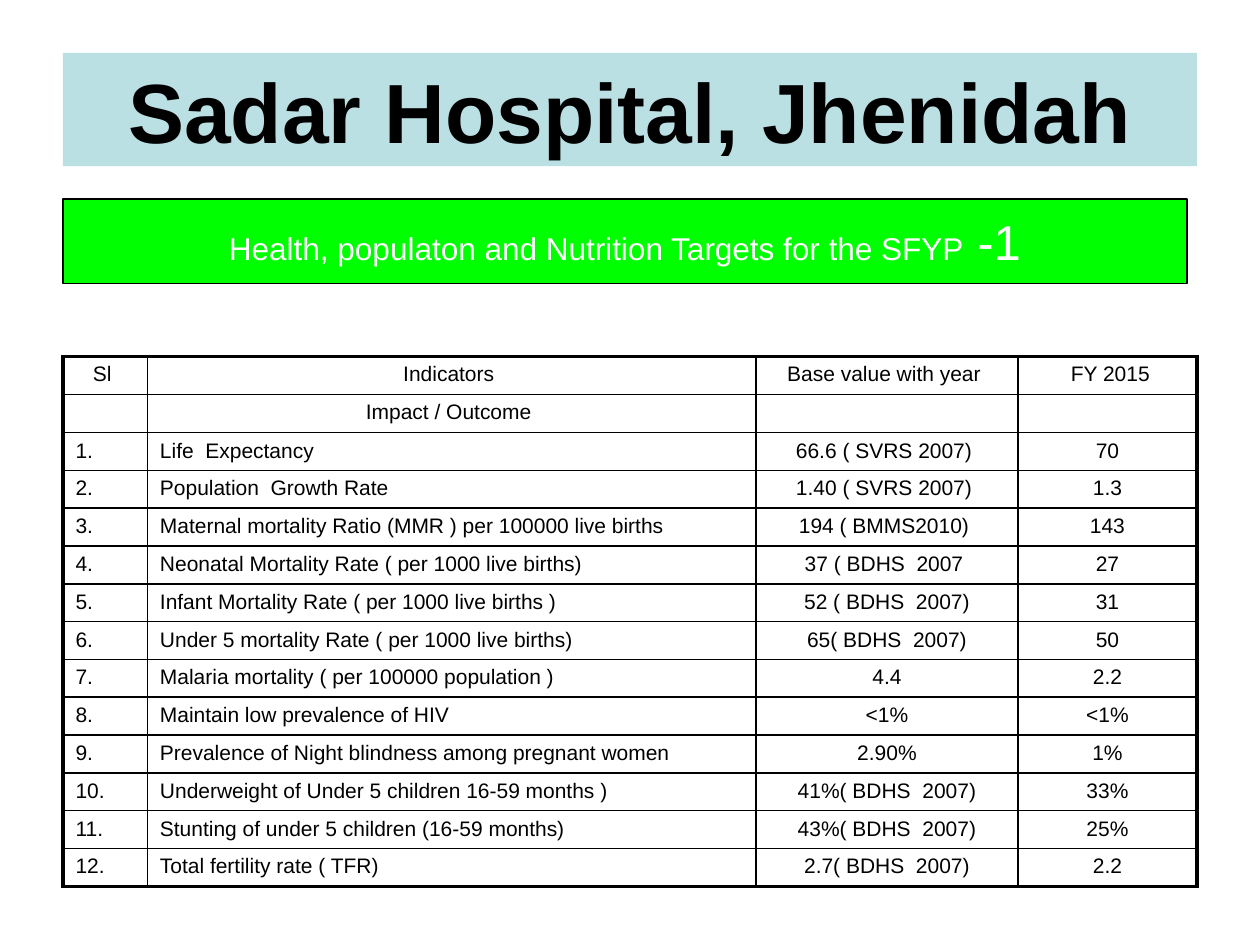
"""Build the Sadar Hospital slide of health, population and nutrition targets."""
from lxml import etree
from pptx import Presentation
from pptx.dml.color import RGBColor
from pptx.enum.shapes import MSO_SHAPE
from pptx.enum.text import MSO_ANCHOR, PP_ALIGN
from pptx.oxml.ns import qn
from pptx.util import Inches, Pt

RECTANGLE = MSO_SHAPE.RECTANGLE
MIDDLE = MSO_ANCHOR.MIDDLE
LEFT, CENTER = PP_ALIGN.LEFT, PP_ALIGN.CENTER

THEME = {
    "font": "Arial",
    "black": RGBColor(0x00, 0x00, 0x00),
    "white": RGBColor(0xFF, 0xFF, 0xFF),
    "pale_blue": RGBColor(0xBB, 0xE0, 0xE3),
    "green": RGBColor(0x00, 0xFF, 0x00),
    "title_size": Pt(48),
    "subtitle_size": Pt(18),
    "part_size": Pt(28),
    "table_size": Pt(12),
    "thin": Pt(1),
    "thick": Pt(2.25),
    "outline": Pt(0.75),
}


def add_run(paragraph, text, size, color, bold=False):
    run = paragraph.add_run()
    run.text = text
    run.font.name = THEME["font"]
    run.font.size = size
    run.font.bold = bold
    run.font.color.rgb = color


def add_border(cell, side, width):
    properties = cell._tc.get_or_add_tcPr()
    line = etree.SubElement(properties, qn(f"a:ln{side}"), w=str(width))
    fill = etree.SubElement(line, qn("a:solidFill"))
    etree.SubElement(fill, qn("a:srgbClr"), val=str(THEME["black"]))


presentation = Presentation()
presentation.slide_width = Inches(10)
presentation.slide_height = Inches(7.5)
slide = presentation.slides.add_slide(presentation.slide_layouts[6])

banners = [
    (0.42, 9, 0.9, "pale_blue", None, "black",
     [("Sadar Hospital, Jhenidah", "title_size", True)]),
    (1.58, 8.92, 0.67, "green", "black", "white",
     [("Health, populaton and Nutrition Targets for the SFYP", "subtitle_size", False),
      (" -1", "part_size", False)]),
]
for top, width, height, fill, outline, color, runs in banners:
    banner = slide.shapes.add_shape(
        RECTANGLE, Inches(0.5), Inches(top), Inches(width), Inches(height))
    banner.shadow.inherit = False
    banner.fill.solid()
    banner.fill.fore_color.rgb = THEME[fill]
    if outline:
        banner.line.color.rgb = THEME[outline]
        banner.line.width = THEME["outline"]
    else:
        banner.line.fill.background()
    banner.text_frame.word_wrap = True
    banner.text_frame.vertical_anchor = MIDDLE
    paragraph = banner.text_frame.paragraphs[0]
    paragraph.alignment = CENTER
    for text, size, bold in runs:
        add_run(paragraph, text, THEME[size], THEME[color], bold)

headings = [
    ("Sl ", "Indicators ", "Base value with year ", " FY 2015"),
    ("", "Impact / Outcome ", "", ""),
]
indicators = [
    ("Life  Expectancy", "66.6 ( SVRS 2007) ", "70"),
    ("Population  Growth Rate", "1.40 ( SVRS 2007) ", "1.3"),
    ("Maternal mortality Ratio (MMR ) per 100000 live births", "194 ( BMMS2010) ", "143"),
    ("Neonatal Mortality Rate ( per 1000 live births)", "37 ( BDHS  2007 ", "27"),
    ("Infant Mortality Rate ( per 1000 live births )", "52 ( BDHS  2007)", "31"),
    ("Under 5 mortality Rate ( per 1000 live births)", "65( BDHS  2007)", "50"),
    ("Malaria mortality ( per 100000 population )", "4.4", "2.2"),
    ("Maintain low prevalence of HIV", "<1%", "<1%"),
    ("Prevalence of Night blindness among pregnant women", "2.90%", "1%"),
    ("Underweight of Under 5 children 16-59 months )", "41%( BDHS  2007)", "33%"),
    ("Stunting of under 5 children (16-59 months)", "43%( BDHS  2007)", "25%"),
    ("Total fertility rate ( TFR)", "2.7( BDHS  2007)", "2.2"),
]
rows = headings + [(f"{number}.", *row) for number, row in enumerate(indicators, 1)]
column_widths = [0.67, 4.83, 2.08, 1.42]
last_row, last_column = len(rows) - 1, len(column_widths) - 1

table = slide.shapes.add_table(
    len(rows), len(column_widths), Inches(0.5), Inches(2.83), Inches(9), Inches(4.2)).table
table.first_row = False
table.horz_banding = False
for column, width in zip(table.columns, column_widths):
    column.width = Inches(width)

for row_index, row in enumerate(rows):
    table.rows[row_index].height = Inches(0.3)
    for column_index, text in enumerate(row):
        cell = table.cell(row_index, column_index)
        cell.margin_left = cell.margin_right = Inches(0.1)
        cell.margin_top = cell.margin_bottom = Inches(0.05)
        outer_sides = {
            "L": column_index == 0,
            "R": column_index == last_column,
            "T": row_index == 0,
            "B": row_index == last_row,
        }
        for side, is_outer in outer_sides.items():
            add_border(cell, side, THEME["thick"] if is_outer else THEME["thin"])
        cell.fill.background()
        paragraph = cell.text_frame.paragraphs[0]
        is_label = row_index >= len(headings) and column_index < 2
        paragraph.alignment = LEFT if is_label else CENTER
        if text:
            add_run(paragraph, text, THEME["table_size"], THEME["black"])
        else:
            size = str(THEME["table_size"].centipoints)
            etree.SubElement(paragraph._p, qn("a:endParaRPr"), sz=size)

presentation.save("out.pptx")
